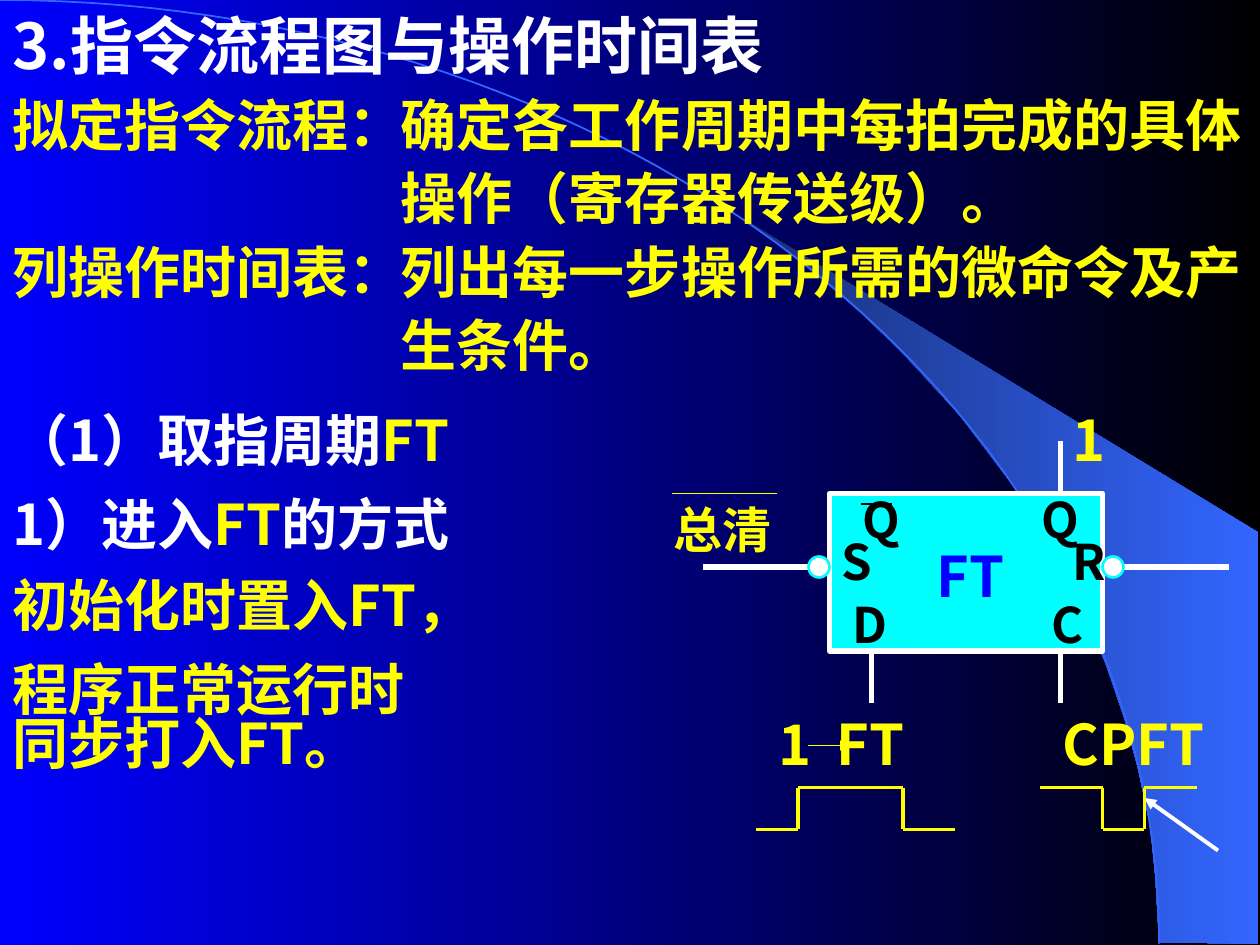
"""Build the slide on instruction flow charts and the FT flip-flop."""
from itertools import pairwise
from math import cos, pi, sin

from lxml.etree import SubElement
from pptx import Presentation
from pptx.dml.color import RGBColor
from pptx.enum.shapes import MSO_CONNECTOR as CONN, MSO_SHAPE as SHAPE
from pptx.enum.text import MSO_AUTO_SIZE as AUTO
from pptx.oxml.ns import qn
from pptx.util import Inches, Pt

W, H = 10, 7.5
COLS, ROWS = 120, 90
FONT, SERIF = "Noto Sans CJK SC", "Times New Roman"
C = {"white": "FFFFFF", "yellow": "FFFF00", "blue": "0000FF", "black": "000000",
     "cyan": "00FFFF", "arc": "3366FF", "deep": "182F76"}

ARC_W, ARC_H, ARC_STEPS = 9.2, 7.49, 60
BEAM = [(9.2, 7.48), (9.99, 7.49), (9.99, 4.23), (5.89, 1.73), (6.24, 1.99), (6.53, 2.22),
        (6.85, 2.5), (7.16, 2.8), (7.62, 3.3), (8.03, 3.84), (8.32, 4.31), (8.58, 4.79),
        (8.78, 5.28), (8.93, 5.72), (9.03, 6.09), (9.13, 6.56), (9.17, 6.96)]

# col, row, width, size, runs, options
TEXTS = [
    (0, 0, 100, 36, [("3.指令流程图与操作时间表", "white")], {}),
    (0, 38, 50, 32, [("（1）取指周期", "white"), ("FT", "yellow")], {}),
    (0, 8, 46, 32, [("拟定指令流程：", "yellow")], {}),
    (0, 55, 54, 32, [("初始化时置入FT，", "yellow")], {"spacing": 0.8}),
    (37, 8, 100, 32, [("确定各工作周期中每拍完成的具体", "yellow")], {}),
    (37, 15, 70, 32, [("操作（寄存器传送级）。", "yellow")], {}),
    (0, 22, 46, 32, [("列操作时间表：", "yellow")], {}),
    (37, 22, 100, 32, [("列出每一步操作所需的微命令及产", "yellow")], {}),
    (37, 29, 43, 32, [("生条件。", "yellow")], {}),
    (0, 46, 52, 32, [("1）进入", "white"), ("FT", "yellow"), ("的方式", "white")], {}),
    (88, 51, 14, 32, [("FT", "blue")], {}),
    (63, 47, 15, 28, [("总清", "yellow")], {"font": SERIF}),
    (101, 38, 13, 32, [("1", "yellow")], {}),
    (0, 63, 43, 32, [("程序正常运行时同步打入FT。", "yellow")], {"spacing": 0.8, "lines": 2}),
    (73, 67, 20, 32, [("1\tFT", "yellow")], {"tab": 0.46}),
    (100, 67, 20, 32, [("CPFT", "yellow")], {}),
]
PINS = [("S", 79, 50), ("R", 101, 50), ("D", 80, 56), ("C", 99, 56), ("Q", 98, 46), ("Q", 81, 46)]
TEXTS += [(col, row, 12, 28, [(name, "black")], {}) for name, col, row in PINS]

BOX = (79, 47, 26, 15)
BUBBLES = [(77, 53), (105, 53)]
WIRES = [((101, 42), (101, 47)), ((83, 62), (83, 67)), ((101, 62), (101, 67)),
         ((107, 54), (117, 54)), ((67, 54), (77, 54))]
PULSES = [[(72, 79), (76, 79), (76, 75), (86, 75), (86, 79), (91, 79)],
          [(99, 75), (105, 75), (105, 79), (109, 79), (109, 75), (114, 75)]]
LINES = [((82, 48), (85, 48), "black", 1.5, None),
         ((64, 47), (74, 47), "yellow", 1, None),
         ((77, 71), (81, 71), "yellow", 1, "a:tailEnd"),
         ((109, 76), (116, 81), "white", 2.25, "a:headEnd")]
LINES += [(a, b, "white", 3, None) for a, b in WIRES]
LINES += [(a, b, "yellow", 2.25, None) for pulse in PULSES for a, b in pairwise(pulse)]


def rgb(name):
    return RGBColor.from_string(C[name])


def x(col):
    return Inches(W * col / COLS)


def y(row):
    return Inches(H * row / ROWS)


def gradient(fill, *names):
    fill.gradient()
    fill.gradient_angle = 0
    for stop, name in zip(fill.gradient_stops, names):
        stop.color.rgb = rgb(name)


def outline(sp, color, width):
    sp.line.color.rgb = rgb(color)
    sp.line.width = Pt(width)


def freeform(shapes, points, close):
    pts = [(Inches(px), Inches(py)) for px, py in points]
    fb = shapes.build_freeform(*pts[0])
    fb.add_line_segments(pts[1:], close=close)
    sp = fb.convert_to_shape()
    sp.shadow.inherit = False
    return sp


def add_backdrop(slide):
    gradient(slide.background.fill, "blue", "black")
    beam = freeform(slide.shapes, BEAM, True)
    gradient(beam.fill, "deep", "arc")
    beam.line.fill.background()
    angles = [pi / 2 * i / ARC_STEPS for i in range(ARC_STEPS + 1)]
    arc = freeform(slide.shapes, [(ARC_W * sin(t), ARC_H * (1 - cos(t))) for t in angles], False)
    arc.fill.background()
    outline(arc, "arc", 1)


def add_shape(shapes, kind, col, row, cols, rows, fill, line, width):
    sp = shapes.add_shape(kind, x(col), y(row), x(cols), y(rows))
    sp.shadow.inherit = False
    sp.fill.solid()
    sp.fill.fore_color.rgb = rgb(fill)
    outline(sp, line, width)


def add_text(shapes, col, row, cols, size, runs, opts):
    height = Inches(0.1) + Pt(1.2 * size * opts.get("lines", 1) * opts.get("spacing", 1))
    tf = shapes.add_textbox(x(col), y(row), x(cols), height).text_frame
    tf.word_wrap = True
    tf.auto_size = AUTO.SHAPE_TO_FIT_TEXT
    p = tf.paragraphs[0]
    p.space_before = Pt(size * 0.625)
    if "spacing" in opts:
        p.line_spacing = opts["spacing"]
    if "tab" in opts:
        tabs = SubElement(p._p.get_or_add_pPr(), qn("a:tabLst"))
        SubElement(tabs, qn("a:tab"), pos=str(Inches(opts["tab"])), algn="l")
    for text, color in runs:
        r = p.add_run()
        r.text = text
        r.font.size = Pt(size)
        r.font.bold = True
        r.font.name = opts.get("font", FONT)
        r.font.color.rgb = rgb(color)
        SubElement(r.font._element, qn("a:ea"), typeface=FONT)


def add_line(shapes, start, end, color, width, arrow):
    ln = shapes.add_connector(CONN.STRAIGHT, x(start[0]), y(start[1]), x(end[0]), y(end[1]))
    outline(ln, color, width)
    if arrow:
        SubElement(ln.line._get_or_add_ln(), qn(arrow), type="triangle")
    SubElement(ln._element.spPr, qn("a:effectLst"))


def main():
    prs = Presentation()
    prs.slide_width, prs.slide_height = Inches(W), Inches(H)
    slide = prs.slides.add_slide(prs.slide_layouts[6])
    shapes = slide.shapes
    add_backdrop(slide)
    add_shape(shapes, SHAPE.RECTANGLE, *BOX, "cyan", "white", 3)
    for text in TEXTS:
        add_text(shapes, *text)
    for line in LINES:
        add_line(shapes, *line)
    for col, row in BUBBLES:
        add_shape(shapes, SHAPE.OVAL, col, row, 2, 2, "white", "cyan", 1.5)
    prs.save("out.pptx")


if __name__ == "__main__":
    main()
